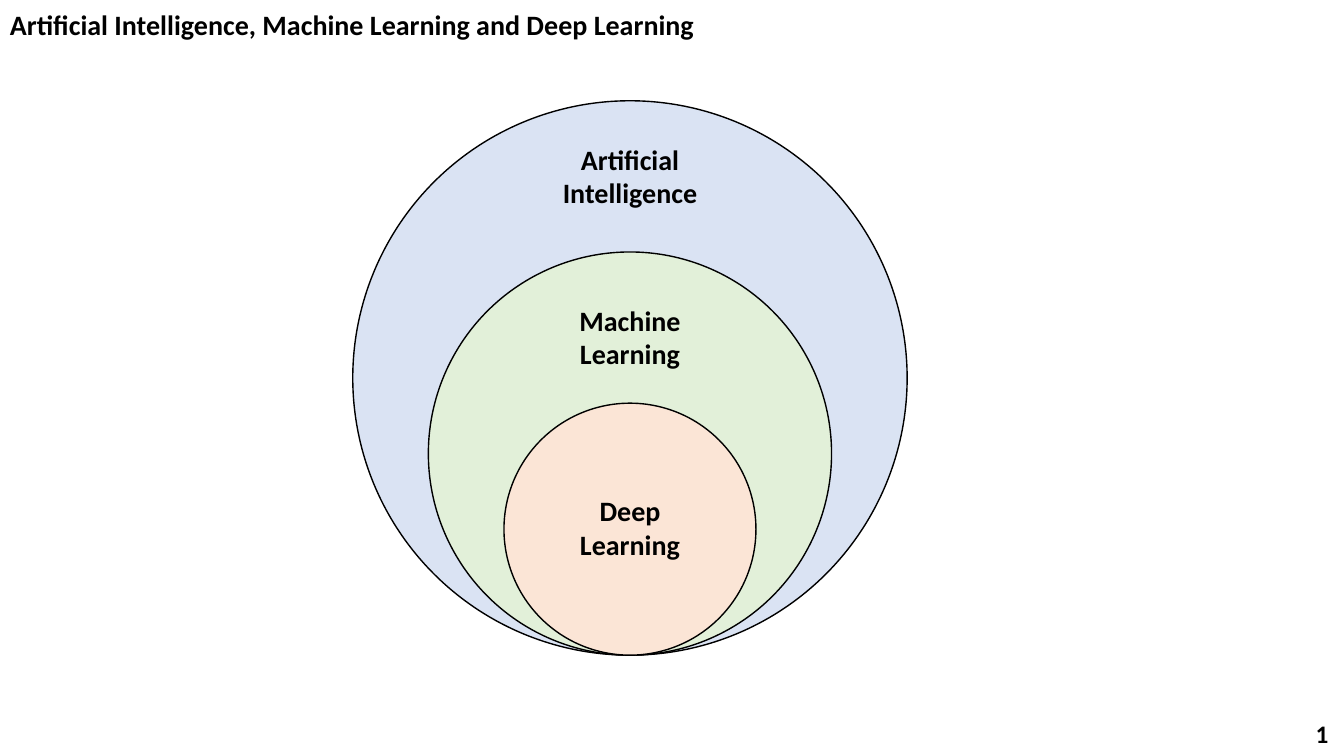
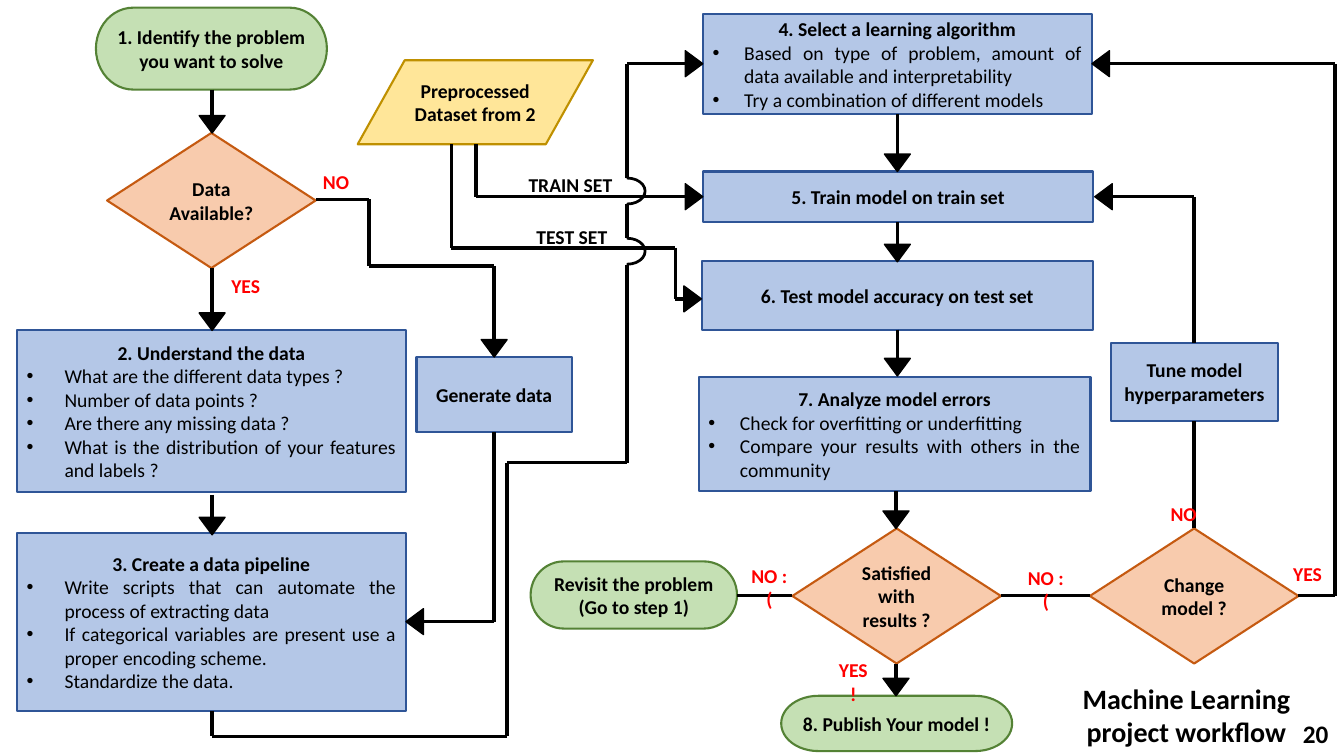
from dataclasses import dataclass
from itertools import pairwise
from math import atan2, cos, degrees, sin

from lxml.etree import SubElement
from pptx import Presentation
from pptx.dml.color import RGBColor
from pptx.enum.shapes import MSO_CONNECTOR, MSO_SHAPE as Preset
from pptx.enum.text import MSO_ANCHOR as Anchor, PP_ALIGN as Align
from pptx.oxml.ns import qn
from pptx.shapes.autoshape import Shape
from pptx.slide import Slide
from pptx.text.text import TextFrame, _Paragraph as Paragraph
from pptx.util import Pt

Point = tuple[float, float]


@dataclass(frozen=True)
class Theme:
    font: str = "Calibri"
    black: str = "000000"
    answer: str = "FF0000"
    ai: str = "DAE3F3"
    machine: str = "E2F0D9"
    deep: str = "FBE5D6"
    heading_size: float = 20
    page_size: float = 18
    body_size: float = 14
    thin: float = 1
    border: float = 1.5
    flow: float = 2.5
    tip_width: float = 18.5
    tip_length: float = 12.5


THEME = Theme()


@dataclass(frozen=True)
class Style:
    preset: Preset
    fill: str
    line: str


STEP = Style(Preset.RECTANGLE, "B4C7E7", "2F5597")
DECISION = Style(Preset.FLOWCHART_DECISION, "F8CBAD", "C55A11")
TERMINAL = Style(Preset.FLOWCHART_TERMINATOR, "C5E0B4", "548235")
DATASET = Style(Preset.FLOWCHART_DATA, "FFE699", "BF9000")


@dataclass(frozen=True)
class Box:
    left: float
    top: float
    width: float
    height: float


@dataclass(frozen=True)
class Node:
    style: Style
    box: Box
    text: str
    bullets: tuple[str, ...] = ()
    indent: float = 27


@dataclass(frozen=True)
class Flow:
    points: tuple[Point, ...]
    tip: bool = True


@dataclass(frozen=True)
class Label:
    box: Box
    text: str
    color: str = THEME.answer


@dataclass(frozen=True)
class Field:
    diameter: float
    fill: str
    text: str
    text_top: float


FIELD_CENTER, FIELD_BOTTOM, FIELD_TEXT_WIDTH = 450, 468, 168
FIELDS = (
    Field(396, THEME.ai, "Artificial Intelligence", 98),
    Field(288, THEME.machine, "Machine\nLearning", 213),
    Field(180, THEME.deep, "Deep\nLearning", 349),
)

NODES = (
    Node(TERMINAL, Box(68.5, 5.5, 165, 58.5), "1. Identify the problem you want to solve"),
    Node(DECISION, Box(76.5, 95, 149, 96.5), "Data\nAvailable?"),
    Node(STEP, Box(12, 236, 278, 115.5), "2. Understand the data", (
        "What are the different data types ?",
        "Number of data points ?",
        "Are there any missing data ?",
        "What is the distribution of your features and labels ?",
    )),
    Node(STEP, Box(12, 381, 278, 127), "3. Create a data pipeline", (
        "Write scripts that can automate the process of extracting data",
        "If categorical variables are present use a proper encoding scheme.",
        "Standardize the data.",
    )),
    Node(STEP, Box(297.5, 255, 111, 53.5), "Generate data"),
    Node(DATASET, Box(255.5, 43, 168, 60), "Preprocessed Dataset from 2"),
    Node(STEP, Box(502, 10, 278, 71.5), "4. Select a learning algorithm", (
        "Based on type of problem, amount of data available and interpretability",
        "Try a combination of different models",
    ), 22.5),
    Node(STEP, Box(502, 122.5, 279, 36), "5. Train model on train set"),
    Node(STEP, Box(501.5, 186.5, 279, 49), "6. Test model accuracy on test set"),
    Node(STEP, Box(499, 269.5, 280, 81.5), "7. Analyze model errors", (
        "Check for overfitting or underfitting",
        "Compare your results with others in the community",
    ), 22.5),
    Node(DECISION, Box(566, 377.5, 149, 96.5), "Satisfied with results ?"),
    Node(TERMINAL, Box(558, 497, 165, 39.5), "8. Publish Your model !"),
    Node(TERMINAL, Box(379, 401, 147.5, 48), "Revisit the problem (Go to step 1)"),
    Node(DECISION, Box(778.5, 377.5, 149, 96.5), "Change model ?"),
    Node(STEP, Box(793.5, 245, 119.5, 55.5), "Tune model hyperparameters"),
)

# Vertical lanes (x) and horizontal rows (y) shared by the flows
PREPARE, GENERATE, RISER, MODEL, TUNE, RETRY = 151.5, 353, 448, 641, 853, 953.5
SELECT_ROW, TRAIN_ROW, TEST_ROW, RESULT_ROW = 45.5, 140.5, 177, 425.5
HOP_WIDTH, HOP_HEIGHT = 19.5, 26.5
HOP_ROWS = (136.5, 179.5)


def drop(lane: float, start: float, end: float) -> Flow:
    return Flow(((lane, start), (lane, end)))


FLOWS = (
    drop(PREPARE, 64, 95),
    drop(PREPARE, 191.5, 236),
    drop(PREPARE, 353.5, 382),
    drop(MODEL, 81.5, 122.5),
    drop(MODEL, 158.5, 187),
    drop(MODEL, 235.5, 268.5),
    drop(MODEL - 1, 351, 377.5),
    drop(MODEL - 1, 474, 497),
    Flow(((225.5, 142.5), (263.5, 142.5), (263.5, 190), (GENERATE, 190), (GENERATE, 255))),
    Flow(((GENERATE, 308.5), (GENERATE, 444), (290, 444))),
    Flow(((PREPARE, 508), (PREPARE, 526), (362, 526), (362, 330.5),
          (RISER, 330.5), (RISER, 189)), tip=False),
    Flow(((RISER, 170), (RISER, 145.5)), tip=False),
    Flow(((RISER, 127.5), (RISER, SELECT_ROW), (502, SELECT_ROW))),
    Flow(((340, 103), (340, TRAIN_ROW), (502, TRAIN_ROW))),
    Flow(((322.5, 103), (322.5, TEST_ROW), (482.5, TEST_ROW), (482.5, 213.5), (501, 213.5))),
    Flow(((566, RESULT_ROW), (526.5, RESULT_ROW)), tip=False),
    Flow(((715, RESULT_ROW), (778.5, RESULT_ROW)), tip=False),
    Flow(((TUNE, 377.5), (TUNE, 300.5)), tip=False),
    Flow(((TUNE, 245), (TUNE, TRAIN_ROW), (782, TRAIN_ROW))),
    Flow(((927.5, RESULT_ROW), (RETRY, RESULT_ROW), (RETRY, SELECT_ROW), (780, SELECT_ROW))),
)

LABELS = (
    Label(Box(223.5, 117.5, 33, 24), "NO"),
    Label(Box(158, 192, 35, 24), "YES"),
    Label(Box(370, 120, 75, 24), "TRAIN SET", THEME.black),
    Label(Box(376, 157, 65, 24), "TEST SET", THEME.black),
    Label(Box(529.5, 399, 40, 24), "NO : ("),
    Label(Box(727, 400.5, 40, 24), "NO : ("),
    Label(Box(592, 466.5, 35, 24), "YES !"),
    Label(Box(829, 355, 33, 24), "NO"),
    Label(Box(916.5, 398, 35, 24), "YES"),
)


def add_bullet(paragraph: Paragraph, indent: float) -> None:
    properties = paragraph._p.get_or_add_pPr()
    properties.set("marL", str(Pt(indent)))
    properties.set("indent", str(-Pt(indent)))
    SubElement(properties, qn("a:buFont"), typeface="Arial")
    SubElement(properties, qn("a:buChar"), char="•")


def write(frame: TextFrame, text: str, *, size: float = THEME.body_size, bold: bool = True,
          color: str = THEME.black, align: Align = Align.CENTER,
          anchor: Anchor = Anchor.TOP, wrap: bool = True, bullet_indent: float = 0) -> None:
    """Fill the frame, or extend it if it has text, with one paragraph per line."""
    frame.word_wrap = wrap
    frame.vertical_anchor = anchor
    for line in text.split("\n"):
        paragraph = frame.add_paragraph() if frame.text else frame.paragraphs[0]
        paragraph.alignment = align
        if bullet_indent:
            add_bullet(paragraph, bullet_indent)
        run = paragraph.add_run()
        run.text = line
        run.font.name = THEME.font
        run.font.size = Pt(size)
        run.font.bold = bold
        run.font.color.rgb = RGBColor.from_string(color)


def lengths(box: Box) -> tuple[Pt, Pt, Pt, Pt]:
    return Pt(box.left), Pt(box.top), Pt(box.width), Pt(box.height)


def add_text(slide: Slide, box: Box, text: str, **text_format) -> None:
    write(slide.shapes.add_textbox(*lengths(box)).text_frame, text, **text_format)


def add_preset(slide: Slide, preset: Preset, box: Box, fill: str,
               line: str = THEME.black, weight: float = THEME.thin) -> Shape:
    shape = slide.shapes.add_shape(preset, *lengths(box))
    shape.shadow.inherit = False
    shape.fill.solid()
    shape.fill.fore_color.rgb = RGBColor.from_string(fill)
    shape.line.color.rgb = RGBColor.from_string(line)
    shape.line.width = Pt(weight)
    return shape


def add_node(slide: Slide, node: Node) -> None:
    style = node.style
    shape = add_preset(slide, style.preset, node.box, style.fill, style.line, THEME.border)
    write(shape.text_frame, node.text, anchor=Anchor.MIDDLE)
    for bullet in node.bullets:
        write(shape.text_frame, bullet, bold=False, align=Align.JUSTIFY,
              anchor=Anchor.MIDDLE, bullet_indent=node.indent)


def add_line(slide: Slide, start: Point, end: Point) -> None:
    line = slide.shapes.add_connector(
        MSO_CONNECTOR.STRAIGHT, *(Pt(value) for value in (*start, *end)))
    line.line.color.rgb = RGBColor.from_string(THEME.black)
    line.line.width = Pt(THEME.flow)
    SubElement(line._element.spPr, qn("a:effectLst"))


def add_flow(slide: Slide, flow: Flow) -> None:
    """Draw the segments; a tip touches the last point and covers the line's end."""
    *corners, (x, y) = flow.points
    end = (x, y)
    if flow.tip:
        angle = atan2(y - corners[-1][1], x - corners[-1][0])
        half = THEME.tip_length / 2
        end = (round(x - half * cos(angle), 2), round(y - half * sin(angle), 2))
    for start, stop in pairwise((*corners, end)):
        add_line(slide, start, stop)
    if flow.tip:
        box = Box(end[0] - THEME.tip_width / 2, end[1] - half,
                  THEME.tip_width, THEME.tip_length)
        tip = add_preset(slide, Preset.ISOSCELES_TRIANGLE, box, THEME.black)
        tip.rotation = round(degrees(angle)) + 90


def add_hop(slide: Slide, row: float) -> None:
    """Draw the half circle that carries the riser over a crossing line."""
    box = Box(RISER - HOP_WIDTH / 2, row - HOP_HEIGHT / 2, HOP_WIDTH, HOP_HEIGHT)
    hop = add_preset(slide, Preset.BLOCK_ARC, box, THEME.black)
    hop.rotation = 90
    for index, value in enumerate((108, 0, 0.05)):
        hop.adjustments[index] = value


def add_page_number(slide: Slide, number: int) -> None:
    add_text(slide, Box(740, 509.5, 216, 29), str(number), size=THEME.page_size,
             align=Align.RIGHT, anchor=Anchor.MIDDLE)


def build_fields(slide: Slide) -> None:
    add_text(slide, Box(0, 2, 523, 31.5),
             "Artificial Intelligence, Machine Learning and Deep Learning",
             size=THEME.heading_size, align=Align.LEFT, wrap=False)
    for field in FIELDS:
        size = field.diameter
        circle = Box(FIELD_CENTER - size / 2, FIELD_BOTTOM - size, size, size)
        add_preset(slide, Preset.OVAL, circle, field.fill)
        caption = Box(FIELD_CENTER - FIELD_TEXT_WIDTH / 2, field.text_top, FIELD_TEXT_WIDTH, 55.5)
        add_text(slide, caption, field.text, size=THEME.heading_size)
    add_page_number(slide, 1)


def build_workflow(slide: Slide) -> None:
    for node in NODES:
        add_node(slide, node)
    for flow in FLOWS:
        add_flow(slide, flow)
    for row in HOP_ROWS:
        add_hop(slide, row)
    for label in LABELS:
        add_text(slide, label.box, label.text, color=label.color, wrap=False)
    add_text(slide, Box(738, 483, 219, 55.5), "Machine Learning project workflow",
             size=THEME.heading_size)
    add_page_number(slide, 20)


def main() -> None:
    deck = Presentation()
    deck.slide_width, deck.slide_height = Pt(960), Pt(540)
    blank = deck.slide_layouts[6]
    for build in (build_fields, build_workflow):
        build(deck.slides.add_slide(blank))
    deck.save("out.pptx")


if __name__ == "__main__":
    main()
